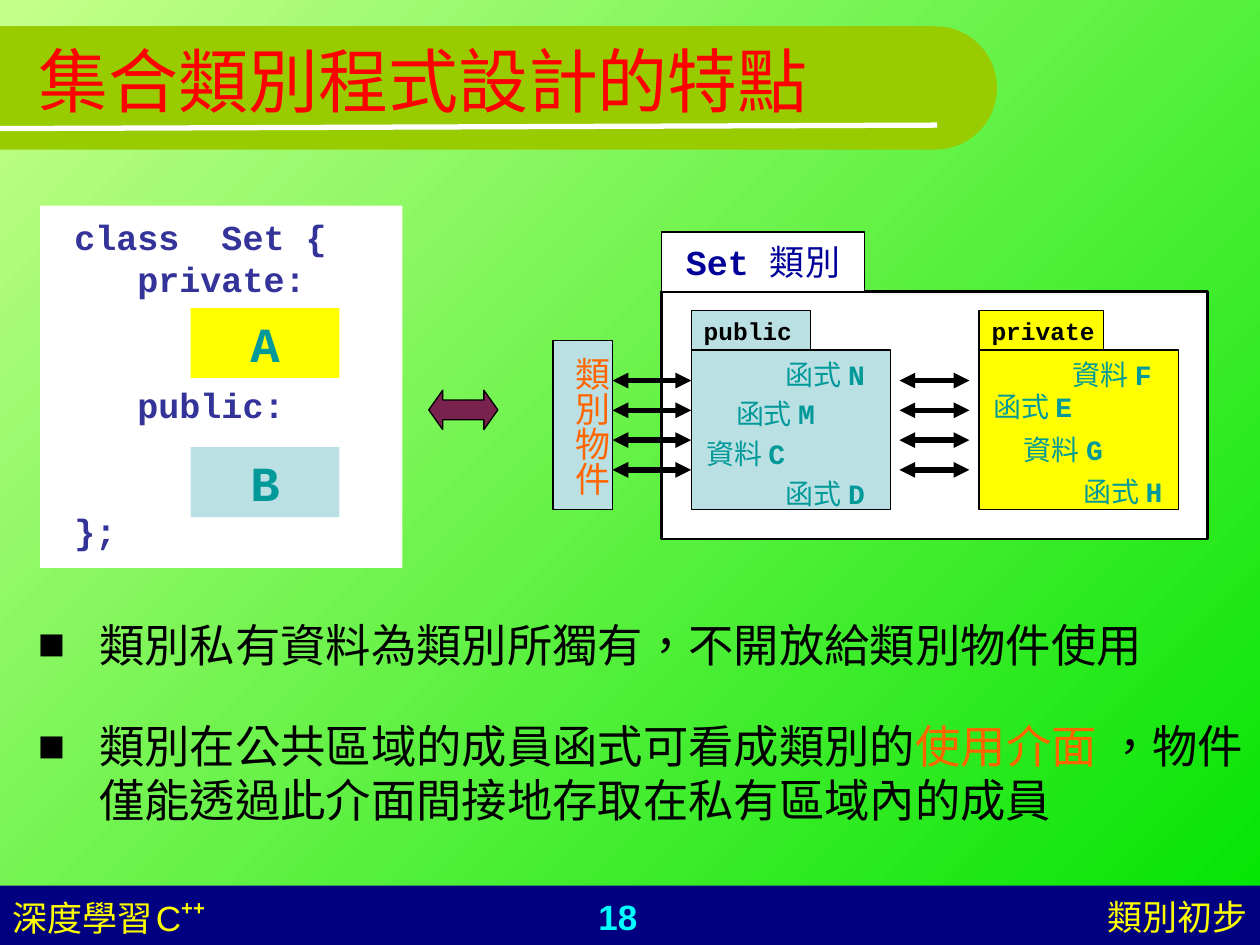
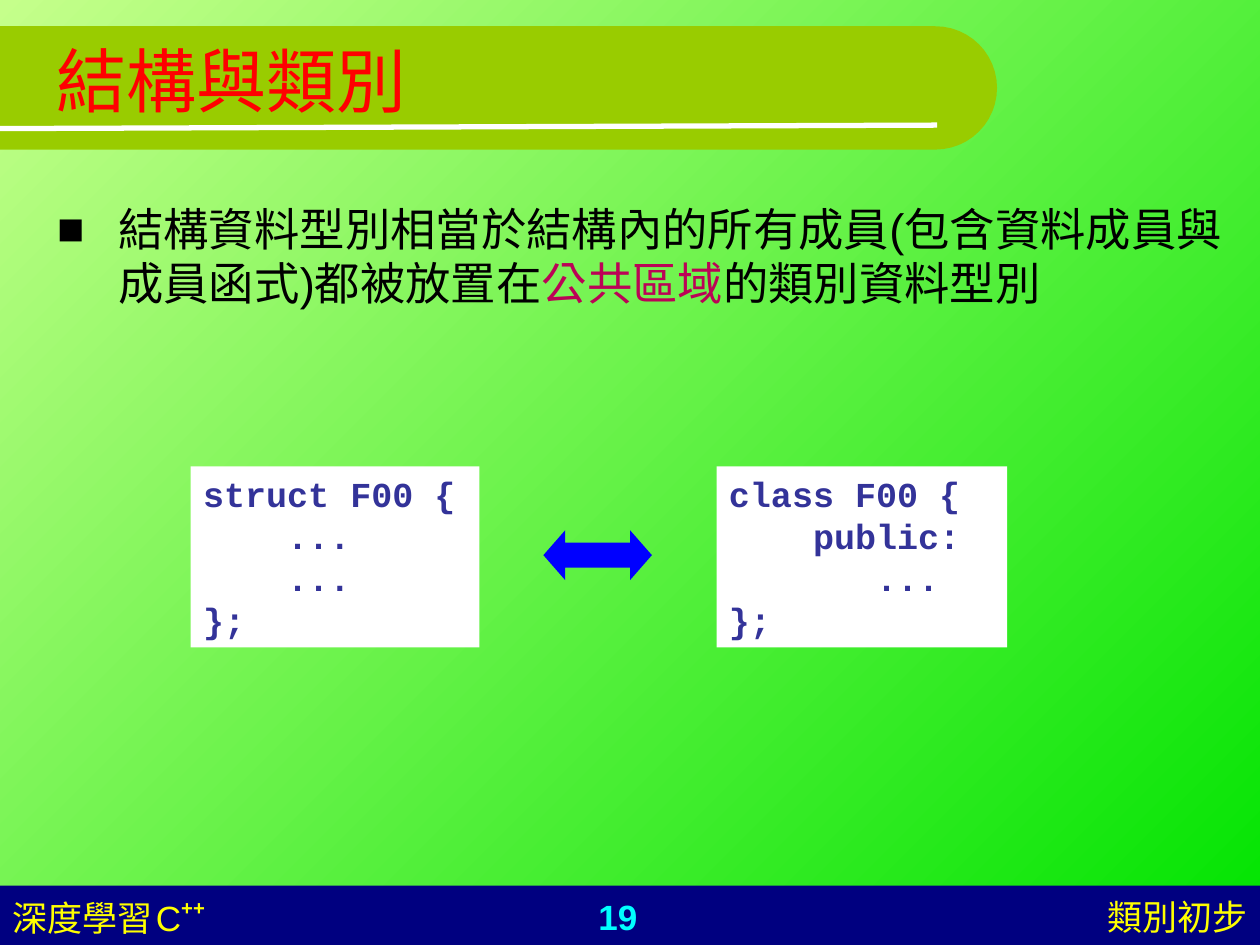
from dataclasses import dataclass
from math import cos, pi, sin

from lxml.etree import SubElement
from pptx import Presentation
from pptx.dml.color import RGBColor
from pptx.enum.shapes import MSO_CONNECTOR, MSO_SHAPE
from pptx.enum.text import MSO_ANCHOR, PP_ALIGN
from pptx.oxml.ns import qn
from pptx.util import Pt


@dataclass(frozen=True)
class Theme:
    sans: str = "Arial"
    mono: str = "Courier New"
    chinese: str = "Noto Sans CJK TC"
    language: str = "zh-TW"
    black: str = "000000"
    white: str = "FFFFFF"
    gradient: tuple = ("C5FF8B", "00E400")
    band: str = "99CC00"
    footer: str = "000080"
    footer_text: str = "FFFF00"
    number: str = "00FFFF"
    title: str = "FF0000"
    code: str = "333399"
    class_name: str = "000099"
    member: str = "009999"
    public: str = "BBE0E3"
    private: str = "FFFF00"
    orange: str = "FF6600"
    crimson: str = "BB0356"
    plum: str = "78224D"
    blue: str = "0000FF"
    title_size: float = 40
    body_size: float = 25.9
    text_size: float = 20
    letter_size: float = 28
    label_size: float = 14
    member_size: float = 16
    body_line: float = 31
    code_line: float = 24
    thin: float = 0.75
    frame: float = 1.5
    thick: float = 3


THEME = Theme()
WIDTH, HEIGHT = 720, 540

COURSE = [("深度學習", {}), (" ", {"size": 8}), ("C", {}),
          ("++", {"bold": True, "raised": 46})]
CHAPTER = "類別初步"

SET_SLIDE = {
    "number": "18",
    "title": "集合類別程式設計的特點",
    "points": [
        [("類別私有資料為類別所獨有，不開放給類別物件使用", {})],
        [("類別在公共區域的成員函式可看成類別的", {}),
         ("使用介面 ", {"color": THEME.orange}),
         ("，物件僅能透過此介面間接地存取在私有區域內的成員", {})],
    ],
    # (code line, empty lines above it)
    "code": [("class  Set {", 0), ("   private:", 0), ("   public:", 2), ("};", 2)],
    "blocks": [("A", THEME.private, 176), ("B", THEME.public, 255.5)],
    # label, fill, left, label width, members as (kind, letter, left, top)
    "sections": [
        ("public", THEME.public, 395, 68,
         [("函式", "N", 442, 200.5), ("函式", "M", 413.5, 223),
          ("資料", "C", 396.5, 246), ("函式", "D", 442, 268.5)]),
        ("private", THEME.private, 559.5, 71,
         [("資料", "F", 606, 200.5), ("函式", "E", 560.5, 219),
          ("資料", "G", 578, 243.5), ("函式", "H", 612, 267.5)]),
    ],
    "arrow_spans": [(350, 395), (514, 554)],
}

STRUCT_SLIDE = {
    "number": "19",
    "title": "結構與類別",
    "points": [
        [("結構資料型別相當於結構內的所有成員(包含資料成員與成員函式)都被放置在", {}),
         ("公共區域", {"color": THEME.crimson}),
         ("的類別資料型別", {})],
    ],
    "codes": [
        (109, 165, ["struct F00 {", "    ...", "    ...", "};"]),
        (409.5, 166, ["class F00 {", "    public:", "       ...", "};"]),
    ],
}


def rgb(color):
    return RGBColor.from_string(color)


def format_run(run, size, color, font=THEME.sans, bold=False, raised=0):
    run.font.size = Pt(size)
    run.font.name = font
    run.font.bold = bold
    run.font.color.rgb = rgb(color)
    properties = run._r.get_or_add_rPr()
    properties.set("lang", THEME.language)
    if raised:
        properties.set("baseline", str(raised * 1000))
    east_asian = SubElement(properties, qn("a:ea"))
    east_asian.set("typeface", THEME.chinese)
    properties.find(qn("a:latin")).addnext(east_asian)


def write(shape, paragraphs, style, align=PP_ALIGN.LEFT, anchor=MSO_ANCHOR.TOP,
          wrap=True, line=None):
    """Fill a shape with paragraphs, each a string or a list of (text, style changes)."""
    frame = shape.text_frame
    frame.word_wrap = wrap
    frame.vertical_anchor = anchor
    for index, content in enumerate(paragraphs):
        paragraph = frame.add_paragraph() if index else frame.paragraphs[0]
        paragraph.alignment = align
        if line:
            paragraph.line_spacing = Pt(line)
        spans = [(content, {})] if isinstance(content, str) else content
        for text, changes in spans:
            run = paragraph.add_run()
            run.text = text
            format_run(run, **{**style, **changes})
    return frame


def add_text(slide, box, paragraphs, style, **layout):
    shape = slide.shapes.add_textbox(*map(Pt, box))
    write(shape, paragraphs, style, **layout)
    return shape


def paint(shape, fill, line=None):
    shape.shadow.inherit = False
    shape.fill.solid()
    shape.fill.fore_color.rgb = rgb(fill)
    if line:
        shape.line.color.rgb = rgb(THEME.black)
        shape.line.width = Pt(line)
    else:
        shape.line.fill.background()


def add_box(slide, box, fill, line=None, kind=MSO_SHAPE.RECTANGLE):
    shape = slide.shapes.add_shape(kind, *map(Pt, box))
    paint(shape, fill, line)
    return shape


def add_double_arrow(slide, box, fill, head, line=None):
    arrow = add_box(slide, box, fill, line, MSO_SHAPE.LEFT_RIGHT_ARROW)
    arrow.adjustments[0] = 0.5
    arrow.adjustments[1] = head


def add_line(slide, start, end, color, arrowheads=False):
    line = slide.shapes.add_connector(MSO_CONNECTOR.STRAIGHT, *map(Pt, start + end))
    line.line.color.rgb = rgb(color)
    line.line.width = Pt(THEME.thick)
    if arrowheads:
        for tag in ("a:headEnd", "a:tailEnd"):
            SubElement(line.line._get_or_add_ln(), qn(tag)).set("type", "triangle")
    SubElement(line._element.spPr, qn("a:effectLst"))


def add_band(slide):
    top, radius, straight, steps = 15, 35.25, 534.5, 24
    angles = [pi * step / steps - pi / 2 for step in range(steps + 1)]
    arc = [(Pt(straight + radius * cos(angle)), Pt(top + radius + radius * sin(angle)))
           for angle in angles]
    builder = slide.shapes.build_freeform(0, Pt(top))
    builder.add_line_segments(arc + [(0, Pt(top + 2 * radius))], close=True)
    paint(builder.convert_to_shape(), THEME.band)
    add_line(slide, (0, 73.5), (535.5, 71.5), THEME.white)


def add_base_slide(presentation, content, title_left):
    slide = presentation.slides.add_slide(presentation.slide_layouts[6])
    fill = slide.background.fill
    fill.gradient()
    fill.gradient_angle = 315
    for stop, color in zip(fill.gradient_stops, THEME.gradient):
        stop.color.rgb = rgb(color)

    add_box(slide, (0, 506, WIDTH, 34), THEME.footer)
    footer = {"size": THEME.text_size, "color": THEME.footer_text}
    number = {"size": THEME.text_size, "color": THEME.number, "bold": True}
    add_text(slide, (0, 508, 168, 32), [COURSE], footer)
    add_text(slide, (269, 508, 168, 32), [content["number"]], number,
             align=PP_ALIGN.CENTER)
    add_text(slide, (484.5, 508, 235.5, 32), [CHAPTER], footer, align=PP_ALIGN.RIGHT)

    add_band(slide)
    add_text(slide, (title_left, 4, 648, 83), [content["title"]],
             {"size": THEME.title_size, "color": THEME.title}, anchor=MSO_ANCHOR.MIDDLE)
    return slide


def add_points(slide, box, points):
    shape = add_text(slide, box, points, {"size": THEME.body_size, "color": THEME.black},
                     line=THEME.body_line)
    for index, paragraph in enumerate(shape.text_frame.paragraphs):
        if index:
            paragraph.space_before = Pt(27)
        properties = paragraph._p.get_or_add_pPr()
        properties.set("marL", str(Pt(35)))
        properties.set("indent", str(-Pt(35)))
        bullet_color = SubElement(properties, qn("a:buClr"))
        SubElement(bullet_color, qn("a:srgbClr")).set("val", THEME.black)
        SubElement(properties, qn("a:buFont")).set("typeface", THEME.sans)
        SubElement(properties, qn("a:buChar")).set("char", "■")


def add_code(slide, box, lines):
    shape = add_box(slide, box, THEME.white)
    style = {"size": THEME.text_size, "color": THEME.code, "font": THEME.mono, "bold": True}
    return write(shape, lines, style, line=THEME.code_line)


def add_label(slide, box, fill, spans, size, color, align=PP_ALIGN.CENTER, line=None):
    shape = add_box(slide, box, fill, line)
    write(shape, [spans], {"size": size, "color": color, "font": THEME.mono, "bold": True},
          align=align, anchor=MSO_ANCHOR.MIDDLE, wrap=False)


def add_section(slide, label, fill, left, label_width, members):
    add_box(slide, (left, 200, 114, 91), fill, THEME.thin)
    add_label(slide, (left, 177.5, label_width, 22.5), fill, label, THEME.label_size,
              THEME.black, PP_ALIGN.LEFT, THEME.thin)
    style = {"size": THEME.member_size, "color": THEME.member, "font": THEME.mono}
    for kind, letter, member_left, top in members:
        add_text(slide, (member_left, top, 74, 26.5),
                 [[(kind + " ", {}), (letter, {"bold": True})]], style)


def add_class_object(slide):
    add_box(slide, (316, 194.5, 34, 96.5), THEME.public, THEME.thin)
    caption = add_text(slide, (316, 196.5, 38, 88), ["類別物件"],
                       {"size": THEME.text_size, "color": THEME.orange,
                        "font": THEME.mono}, wrap=False)
    frame = caption.text_frame
    frame.margin_left = frame.margin_right = Pt(3.6)
    frame.margin_top = frame.margin_bottom = Pt(7.2)
    frame._txBody.bodyPr.set("vert", "eaVert")


def build_set_slide(presentation):
    content = SET_SLIDE
    slide = add_base_slide(presentation, content, 15)
    add_points(slide, (14.5, 349, 705.5, 142), content["points"])

    frame = add_code(slide, (23, 117.5, 207, 207), [text for text, _ in content["code"]])
    frame.margin_left, frame.margin_top = Pt(19.5), Pt(5.5)
    for paragraph, (_, empty_lines) in zip(frame.paragraphs, content["code"]):
        if empty_lines:
            paragraph.space_before = Pt(empty_lines * THEME.code_line)
    for letter, fill, top in content["blocks"]:
        add_label(slide, (109, top, 85, 40), fill, letter, THEME.letter_size, THEME.member)
    add_double_arrow(slide, (245, 223, 39.5, 22.5), THEME.plum, 0.355, THEME.thin)

    add_box(slide, (378, 166.5, 312, 141.5), THEME.white, THEME.frame)
    add_label(slide, (378, 132.5, 116, 34), THEME.white,
              [("Set ", {}), ("類別", {"bold": False})],
              THEME.text_size, THEME.class_name, line=THEME.thin)
    for section in content["sections"]:
        add_section(slide, *section)
    add_class_object(slide)
    for left, right in content["arrow_spans"]:
        for row in range(4):
            y = 217.5 + 17 * row
            add_line(slide, (left, y), (right, y), THEME.black, arrowheads=True)


def build_struct_slide(presentation):
    content = STRUCT_SLIDE
    slide = add_base_slide(presentation, content, 25.5)
    add_points(slide, (25.5, 111.5, 680, 96.5), content["points"])
    for left, width, lines in content["codes"]:
        add_code(slide, (left, 266.5, width, 103.5), lines)
    add_double_arrow(slide, (310.5, 303, 62, 28.5), THEME.blue, 0.437)


def main():
    presentation = Presentation()
    presentation.slide_width, presentation.slide_height = Pt(WIDTH), Pt(HEIGHT)
    build_set_slide(presentation)
    build_struct_slide(presentation)
    presentation.save("out.pptx")


if __name__ == "__main__":
    main()
